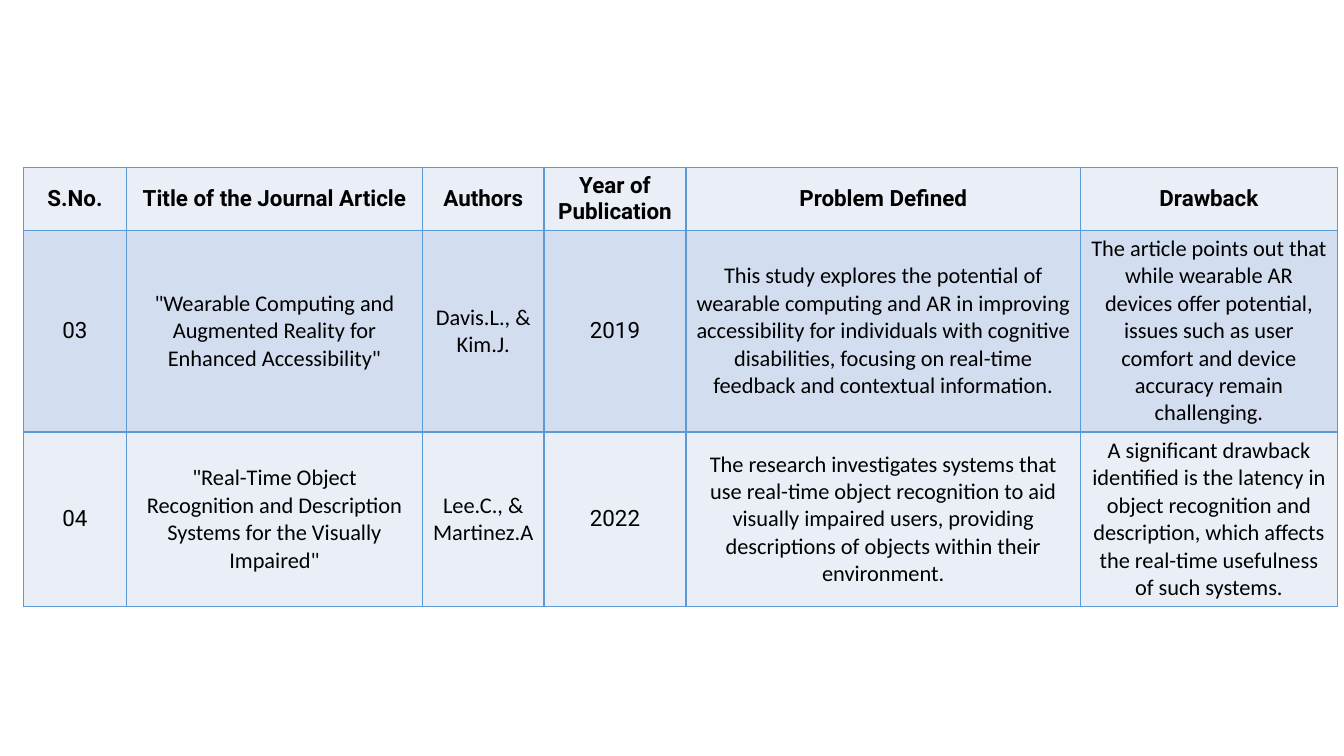
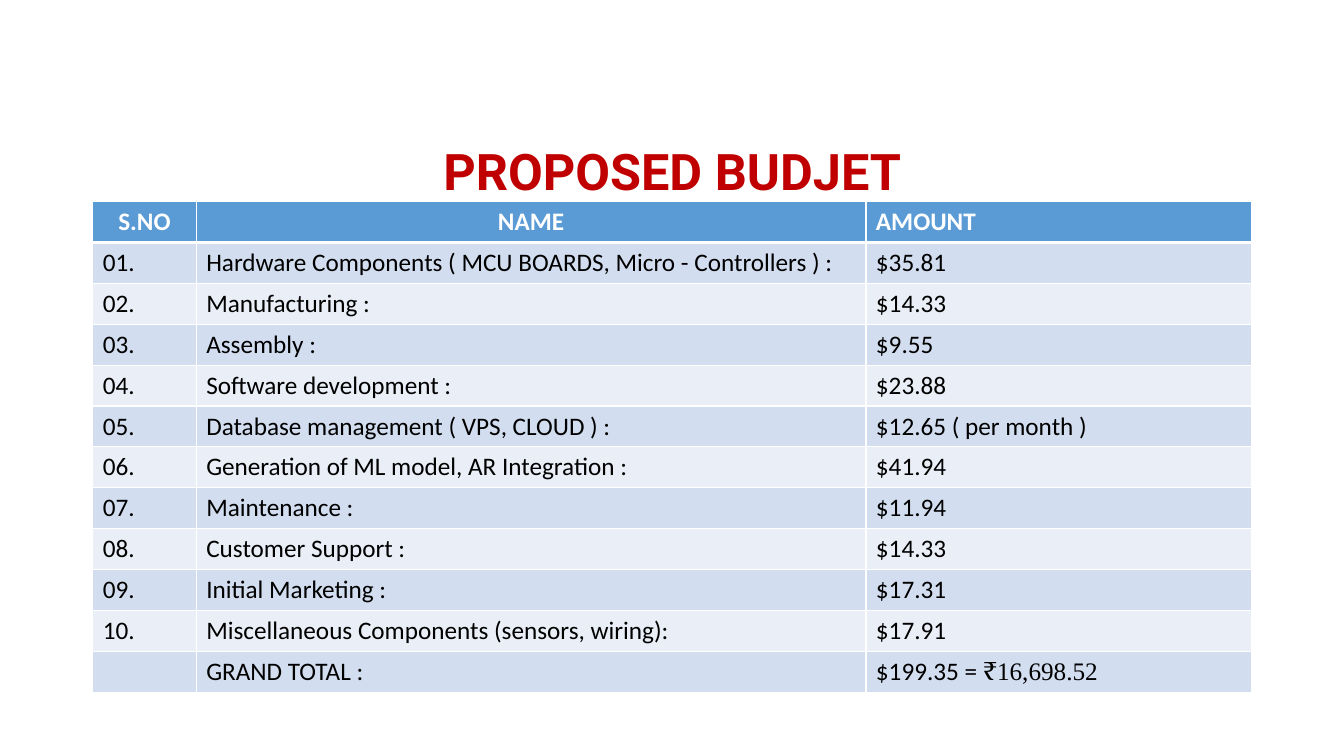
from lxml.etree import SubElement
from pptx import Presentation
from pptx.dml.color import RGBColor
from pptx.enum.text import MSO_ANCHOR as Anchor, PP_ALIGN as Align
from pptx.oxml.ns import qn
from pptx.util import Inches, Pt

BLACK = RGBColor(0x00, 0x00, 0x00)
WHITE = RGBColor(0xFF, 0xFF, 0xFF)
RED = RGBColor(0xC0, 0x00, 0x00)
BLUE = RGBColor(0x5B, 0x9B, 0xD5)
BAND_DARK = RGBColor(0xD2, 0xDE, 0xEF)
BAND_LIGHT = RGBColor(0xEA, 0xEF, 0xF7)
HEADING_FONT, BODY_FONT, RUPEE_FONT = "Roboto", "Calibri", "Times New Roman"

REVIEW_HEAD = ["S.No.", "Title of the Journal Article", "Authors",
               "Year of Publication", "Problem Defined", "Drawback"]
REVIEW = [
    ["03",
     '"Wearable Computing and Augmented Reality for Enhanced Accessibility"',
     "Davis.L., & Kim.J.", "2019",
     "This study explores the potential of wearable computing and AR in "
     "improving accessibility for individuals with cognitive disabilities, "
     "focusing on real-time feedback and contextual information.",
     "The article points out that while wearable AR devices offer potential, "
     "issues such as user comfort and device accuracy remain challenging."],
    ["04",
     '"Real-Time Object Recognition and Description Systems for the '
     'Visually Impaired"',
     "Lee.C., & Martinez.A", "2022",
     "The research investigates systems that use real-time object recognition "
     "to aid visually impaired users, providing descriptions of objects "
     "within their environment.",
     "A significant drawback identified is the latency in object recognition "
     "and description, which affects the real-time usefulness of such systems."],
]
BUDGET_HEAD = ["S.NO", "NAME", "AMOUNT"]
EXPENSES = [
    ("Hardware Components ( MCU BOARDS, Micro - Controllers ) :", "$35.81"),
    ("Manufacturing :", "$14.33"),
    ("Assembly :", "$9.55"),
    ("Software development :", "$23.88"),
    ("Database management ( VPS, CLOUD ) :", "$12.65 ( per month )"),
    ("Generation of ML model, AR Integration :", "$41.94"),
    ("Maintenance :", "$11.94"),
    ("Customer Support :", "$14.33"),
    ("Initial Marketing :", "$17.31"),
    ("Miscellaneous Components (sensors, wiring):", "$17.91"),
]


class Deck:
    """Holds the shared style and current slide; lengths are percent of the slide."""

    def __init__(self):
        self.prs = Presentation()
        self.prs.slide_width, self.prs.slide_height = Inches(13.33), Inches(7.5)
        self.slide = None

    def x(self, percent):
        return int(self.prs.slide_width * percent / 100)

    def y(self, percent):
        return int(self.prs.slide_height * percent / 100)

    def new_slide(self):
        self.slide = self.prs.slides.add_slide(self.prs.slide_layouts[6])

    def style(self, run, font, size, color=BLACK, bold=False):
        run.font.name, run.font.size, run.font.bold = font, Pt(size), bold
        run.font.color.rgb = color

    def title(self, text, left, top, width, height):
        box = self.slide.shapes.add_textbox(
            self.x(left), self.y(top), self.x(width), self.y(height))
        frame = box.text_frame
        frame.word_wrap, frame.vertical_anchor = True, Anchor.MIDDLE
        frame.text = text
        heading = frame.paragraphs[0]
        heading.alignment, heading.line_spacing = Align.CENTER, 0.9
        self.style(heading.runs[0], HEADING_FONT, 36, RED, True)

    def table(self, rows, left, top, widths, heights):
        table = self.slide.shapes.add_table(
            len(rows), len(widths), self.x(left), self.y(top),
            self.x(sum(widths)), self.y(sum(heights))).table
        for column, width in zip(table.columns, widths):
            column.width = self.x(width)
        for row, height, texts in zip(table.rows, heights, rows):
            row.height = self.y(height)
            for cell, text in zip(row.cells, texts):
                cell.text_frame.text = text
        return table

    def cell(self, cell, fill, line, font, size, color=BLACK, bold=False,
             align=Align.LEFT, anchor=Anchor.TOP, top=1, bottom=1):
        properties = cell._tc.get_or_add_tcPr()
        for side, weight in zip("LRTB", (1, 1, top, bottom)):
            border = SubElement(properties, qn(f"a:ln{side}"), w=str(Pt(weight)))
            solid = SubElement(border, qn("a:solidFill"))
            SubElement(solid, qn("a:srgbClr"), val=str(line))
        cell.fill.solid()
        cell.fill.fore_color.rgb = fill
        cell.vertical_anchor = anchor
        paragraph = cell.text_frame.paragraphs[0]
        paragraph.alignment = align
        for run in paragraph.runs:
            self.style(run, font, size, color, bold)


def add_review(deck):
    deck.new_slide()
    table = deck.table([REVIEW_HEAD, *REVIEW], 1.75, 22.2,
                       [7.66, 22.03, 9.04, 10.57, 29.35, 19.12],
                       [8.25, 26.7, 23.1])
    for r, row in enumerate(table.rows):
        for c, cell in enumerate(row.cells):
            font = HEADING_FONT if r == 0 or c in (0, 3) else BODY_FONT
            deck.cell(cell, BAND_DARK if r % 2 else BAND_LIGHT, BLUE, font, 16,
                      bold=r == 0, align=Align.CENTER, anchor=Anchor.MIDDLE)


def add_budget(deck):
    deck.new_slide()
    deck.title("PROPOSED BUDJET", 6.9, 17.6, 86.25, 10.8)
    expenses = [(f"{number:02}.", *expense)
                for number, expense in enumerate(EXPENSES, 1)]
    rows = [BUDGET_HEAD, *expenses, ("", "GRAND TOTAL :", "$199.35 = ")]
    table = deck.table(rows, 6.9, 26.67, [7.7, 49.83, 28.72], [5.41] * len(rows))
    for r, row in enumerate(table.rows):
        for c, cell in enumerate(row.cells):
            if r == 0:
                deck.cell(cell, BLUE, WHITE, BODY_FONT, 18, WHITE, True,
                          Align.CENTER if c < 2 else Align.LEFT, bottom=3)
            else:
                deck.cell(cell, BAND_DARK if r % 2 else BAND_LIGHT, WHITE,
                          BODY_FONT, 18, top=3 if r == 1 else 1)
    total = table.cell(len(rows) - 1, 2).text_frame.paragraphs[0]
    rupees = total.add_run()
    rupees.text = "₹16,698.52"
    deck.style(rupees, RUPEE_FONT, 18)


def main():
    deck = Deck()
    add_review(deck)
    add_budget(deck)
    deck.prs.save("out.pptx")


if __name__ == "__main__":
    main()
